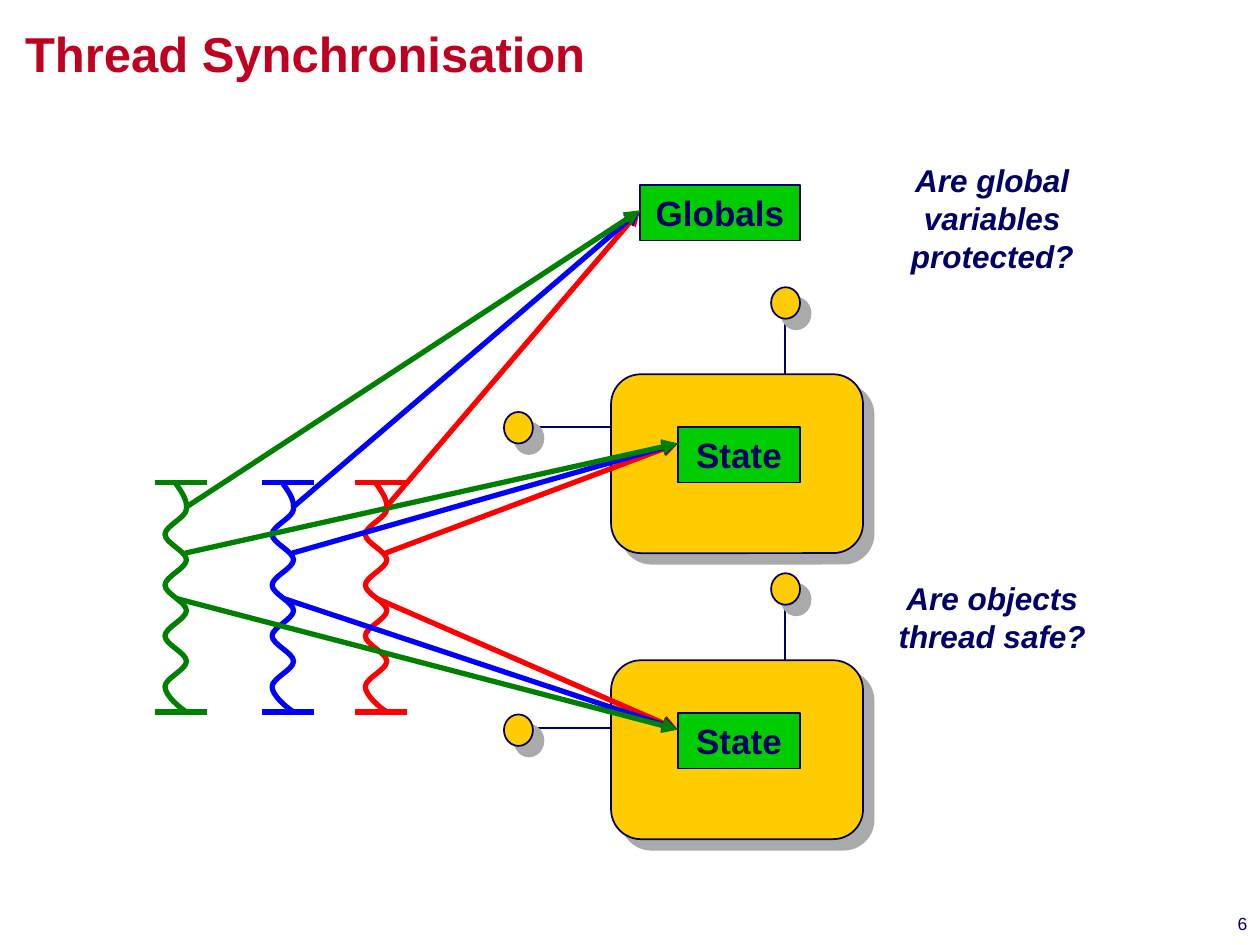
import pptx
import pptx.dml.color
import pptx.enum.shapes
import pptx.enum.text
import pptx.oxml.ns
import pptx.util
from dataclasses import dataclass
from lxml import etree

Inches = pptx.util.Inches
Pt = pptx.util.Pt
SHAPE = pptx.enum.shapes.MSO_SHAPE
ALIGN = pptx.enum.text.PP_ALIGN
ANCHOR = pptx.enum.text.MSO_ANCHOR
FIT = pptx.enum.text.MSO_AUTO_SIZE
qn = pptx.oxml.ns.qn


@dataclass(frozen=True)
class Theme:
    font: str = "Arial"
    ink: str = "000066"
    title: str = "C00020"
    body: str = "FFCC00"
    label: str = "00CC00"
    shadow: str = "AAAAAA"
    title_size: float = 28
    label_size: float = 20
    question_size: float = 18
    number_size: float = 10
    thin: float = 1
    thick: float = 3


@dataclass(frozen=True)
class Thread:
    x: float
    color: str


@dataclass(frozen=True)
class Component:
    top: float
    dot_dy: float
    line_dy: float


@dataclass(frozen=True)
class Target:
    start_dx: float
    start_y: float
    x: float
    y: float


THEME = Theme()
GREEN = Thread(1.23, "008000")
BLUE = Thread(2.08, "0000FF")
RED = Thread(2.82, "FF0000")
COMPONENTS = [Component(5.24, 0.43, 0.54), Component(2.97, 0.3, 0.42)]
TARGETS = [
    Target(0.24, 4.39, 5.38, 3.52),
    Target(0.17, 4.75, 5.38, 5.79),
    Target(0.24, 4.03, 5.08, 1.67),
]
THREAD_TOP, THREAD_BOTTOM = 3.83, 5.65


def rgb(color: str):
    return pptx.dml.color.RGBColor.from_string(color)


def add_line(s, x1: float, y1: float, x2: float, y2: float,
             color: str, width: float, arrow: bool = False) -> None:
    c = s.shapes.add_connector(pptx.enum.shapes.MSO_CONNECTOR.STRAIGHT,
                               Inches(x1), Inches(y1), Inches(x2), Inches(y2))
    c.line.color.rgb = rgb(color)
    c.line.width = Pt(width)
    properties = c.element.spPr
    if arrow:
        etree.SubElement(properties.find(qn("a:ln")), qn("a:tailEnd"), type="triangle")
    etree.SubElement(properties, qn("a:effectLst"))


def add_box(s, kind, x: float, y: float, w: float, h: float,
            fill: str, shadow: bool = False):
    sp = s.shapes.add_shape(kind, Inches(x), Inches(y), Inches(w), Inches(h))
    sp.shadow.inherit = False
    sp.fill.solid()
    sp.fill.fore_color.rgb = rgb(fill)
    sp.line.color.rgb = rgb(THEME.ink)
    sp.line.width = Pt(THEME.thin)
    if shadow:
        effects = sp.element.spPr.find(qn("a:effectLst"))
        outer = etree.SubElement(effects, qn("a:outerShdw"), dist=str(Pt(8.5)),
                                 dir="2700000", algn="ctr", rotWithShape="0")
        etree.SubElement(outer, qn("a:srgbClr"), val=THEME.shadow)
    return sp


def write(sp, text: str, size: float, color: str = THEME.ink, align=ALIGN.CENTER,
          anchor=ANCHOR.TOP, fit=FIT.NONE, bold: bool = True, italic: bool = False,
          insets: tuple = (0.1, 0.05, 0.1, 0.05)) -> None:
    tf = sp.text_frame
    tf.word_wrap = True
    tf.auto_size = fit
    tf.vertical_anchor = anchor
    tf.margin_left, tf.margin_top, tf.margin_right, tf.margin_bottom = map(Inches, insets)
    p = tf.paragraphs[0]
    p.alignment = align
    r = p.add_run()
    r.text = text
    r.font.name = THEME.font
    r.font.size = Pt(size)
    r.font.bold = bold
    r.font.italic = italic
    r.font.color.rgb = rgb(color)


def add_text(s, x: float, y: float, w: float, h: float, text: str,
             size: float, **style) -> None:
    write(s.shapes.add_textbox(Inches(x), Inches(y), Inches(w), Inches(h)),
          text, size, **style)


def add_label(s, text: str, x: float, y: float, w: float) -> None:
    sp = add_box(s, SHAPE.RECTANGLE, x, y, w, 0.44, THEME.label)
    write(sp, text, THEME.label_size, fit=FIT.SHAPE_TO_FIT_TEXT)


def add_dot(s, x: float, y: float) -> None:
    add_box(s, SHAPE.OVAL, x, y, 0.23, 0.25, THEME.body, shadow=True)


def add_component(s, c: Component) -> None:
    add_line(s, 6.23, c.top - 0.42, 6.23, c.top, THEME.ink, THEME.thin)
    add_dot(s, 6.12, c.top - 0.69)
    add_line(s, 4.23, c.top + c.line_dy, 4.85, c.top + c.line_dy, THEME.ink, THEME.thin)
    add_dot(s, 4, c.top + c.dot_dy)
    add_box(s, SHAPE.ROUNDED_RECTANGLE, 4.85, c.top, 2, 1.42, THEME.body, shadow=True)
    add_label(s, "State", 5.38, c.top + 0.42, 0.97)


def wave_curves(x: float) -> list:
    left, right = x + 0.08, x + 0.25
    first, last, turns = 4.04, 5.45, 7
    step = (last - first) / turns
    curves = [((x + 0.21, 3.9), (x + 0.26, 3.97), (right, first))]
    for i in range(turns):
        a, b = (right, left) if i % 2 == 0 else (left, right)
        y = first + i * step
        curves.append(((a, y + step / 3), (b, y + step * 2 / 3), (b, y + step)))
    curves.append(((left, 5.52), (x + 0.2, 5.62), (right, THREAD_BOTTOM)))
    return curves


def add_wave(s, x: float):
    curves = wave_curves(x)
    builder = s.shapes.build_freeform(Inches(x + 0.16), Inches(THREAD_TOP))
    builder.add_line_segments([(Inches(cx), Inches(cy)) for *_, (cx, cy) in curves],
                              close=False)
    sp = builder.convert_to_shape()
    segments = list(sp.element.iter(qn("a:lnTo")))
    for segment, curve in zip(segments, curves):
        cubic = etree.Element(qn("a:cubicBezTo"))
        for cx, cy in curve:
            etree.SubElement(cubic, qn("a:pt"), x=str(Inches(cx) - sp.left),
                             y=str(Inches(cy) - sp.top))
        segment.getparent().replace(segment, cubic)
    return sp


def add_thread(s, t: Thread) -> None:
    for y in (THREAD_TOP, THREAD_BOTTOM):
        add_line(s, t.x, y, t.x + 0.41, y, t.color, THEME.thick)
    sp = add_wave(s, t.x)
    sp.shadow.inherit = False
    sp.fill.background()
    sp.line.color.rgb = rgb(t.color)
    sp.line.width = Pt(THEME.thick)


def main() -> None:
    prs = pptx.Presentation()
    prs.slide_width, prs.slide_height = Inches(10), Inches(7.5)
    s = prs.slides.add_slide(prs.slide_layouts[6])
    add_text(s, 6.4, 7.2, 3.5, 0.17, "6", THEME.number_size, align=ALIGN.RIGHT,
             bold=False, insets=(0, 0.05, 0, 0.05))
    for component in COMPONENTS:
        add_component(s, component)
    add_label(s, "Globals", 5.08, 1.47, 1.27)
    for thread in (BLUE, RED, GREEN):
        add_thread(s, thread)
    add_text(s, 0, 0, 10, 1, "Thread Synchronisation", THEME.title_size,
             color=THEME.title, align=ALIGN.LEFT, insets=(0.2, 0.19, 1.97, 0.14))
    for target in TARGETS:
        for thread in (RED, BLUE, GREEN):
            add_line(s, thread.x + target.start_dx, target.start_y, target.x, target.y,
                     thread.color, THEME.thick, arrow=True)
    for text, y, h in (("Are objects thread safe?", 4.55, 0.7),
                       ("Are global variables protected?", 1.23, 1)):
        add_text(s, 6.84, y, 2.07, h, text, THEME.question_size, italic=True,
                 fit=FIT.SHAPE_TO_FIT_TEXT)
    prs.save("out.pptx")


if __name__ == "__main__":
    main()
